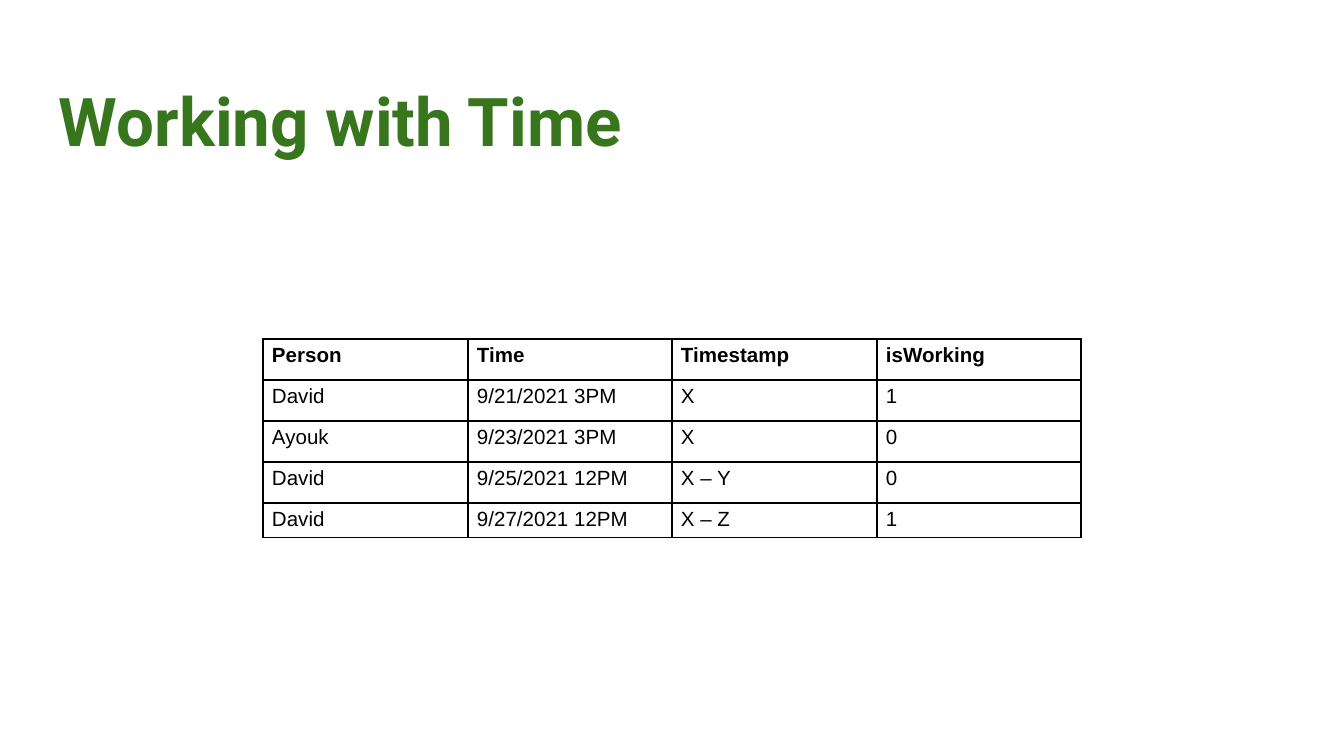
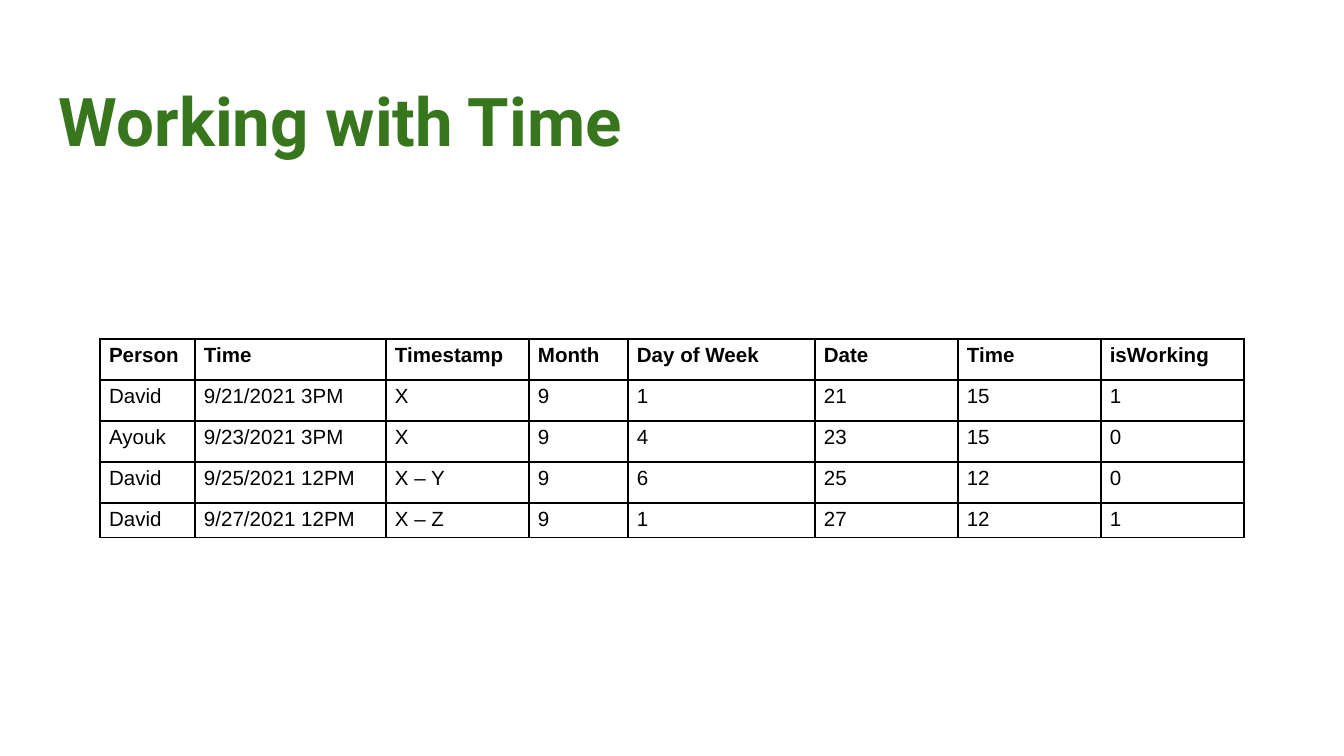
from lxml import etree
from pptx import Presentation
from pptx.dml.color import RGBColor
from pptx.enum.text import MSO_ANCHOR
from pptx.oxml.ns import qn
from pptx.util import Emu, Pt

TOP = MSO_ANCHOR.TOP
GREEN = RGBColor(0x38, 0x76, 0x1D)
BLACK = RGBColor(0x00, 0x00, 0x00)
WHITE = RGBColor(0xFF, 0xFF, 0xFF)
TITLE_FONT, TABLE_FONT = "Roboto", "Arial"

# Content
TITLE = "Working with Time"
SHIFTS = [
    ("Person", "Time", "Timestamp", "isWorking"),
    ("David", "9/21/2021 3PM", "X", "1"),
    ("Ayouk", "9/23/2021 3PM", "X", "0"),
    ("David", "9/25/2021 12PM", "X – Y", "0"),
    ("David", "9/27/2021 12PM", "X – Z", "1"),
]
TIME_PARTS = [
    ("Month", "Day of Week", "Date", "Time"),
    ("9", "1", "21", "15"),
    ("9", "4", "23", "15"),
    ("9", "6", "25", "12"),
    ("9", "1", "27", "12"),
]
# The time parts go in just before the last column
EXPANDED_SHIFTS = [shift[:-1] + parts + shift[-1:]
                   for shift, parts in zip(SHIFTS, TIME_PARTS)]
SLIDES = [
    (SHIFTS, (205, 204, 205, 204)),
    (EXPANDED_SHIFTS, (95, 191, 143, 99, 187, 143, 143, 143)),
]

# Layout in px
SLIDE_W, SLIDE_H = 1344, 756
TITLE_BOX = (46, 66, 1252, 85)
TITLE_INSET = 13
TABLE_TOP = 339
ROW_HEIGHTS = (41, 41, 41, 41, 33)
CELL_INSET_X, CELL_INSET_Y = 9, 5
BORDER = Pt(1)


def px(length):
    return Emu(round(length * 914400 / 134.4))


def add_run(paragraph, text, font_name, size, color, bold):
    run = paragraph.add_run()
    run.text = text
    run.font.name = font_name
    run.font.size = Pt(size)
    run.font.color.rgb = color
    run.font.bold = bold


def add_title(slide):
    frame = slide.shapes.add_textbox(*map(px, TITLE_BOX)).text_frame
    frame.word_wrap = True
    frame.vertical_anchor = TOP
    frame.margin_left = frame.margin_right = px(TITLE_INSET)
    frame.margin_top = frame.margin_bottom = px(TITLE_INSET)
    add_run(frame.paragraphs[0], TITLE, TITLE_FONT, 36, GREEN, True)


def add_borders(cell):
    properties = cell._tc.get_or_add_tcPr()
    # Border lines come before the fill in the cell properties
    for index, side in enumerate(("a:lnL", "a:lnR", "a:lnT", "a:lnB")):
        line = etree.Element(qn(side), w=str(BORDER))
        fill = etree.SubElement(line, qn("a:solidFill"))
        etree.SubElement(fill, qn("a:srgbClr"), val=str(BLACK))
        properties.insert(index, line)


def add_cell(cell, text, is_header):
    cell.fill.background()
    cell.margin_left = cell.margin_right = px(CELL_INSET_X)
    cell.margin_top = cell.margin_bottom = px(CELL_INSET_Y)
    cell.vertical_anchor = TOP
    add_run(cell.text_frame.paragraphs[0], text, TABLE_FONT, 11, BLACK, is_header)
    add_borders(cell)


def add_shift_table(slide, records, widths):
    # Each table is centred across the slide
    total = sum(widths)
    table = slide.shapes.add_table(
        len(records), len(widths), px((SLIDE_W - total) / 2), px(TABLE_TOP),
        px(total), px(sum(ROW_HEIGHTS))).table
    table.horz_banding = False
    for column, width in zip(table.columns, widths):
        column.width = px(width)
    for row, height in zip(table.rows, ROW_HEIGHTS):
        row.height = px(height)
    for r, record in enumerate(records):
        for c, text in enumerate(record):
            add_cell(table.cell(r, c), text, r == 0)


def main():
    deck = Presentation()
    deck.slide_width, deck.slide_height = px(SLIDE_W), px(SLIDE_H)
    blank = deck.slide_layouts[6]
    for records, widths in SLIDES:
        slide = deck.slides.add_slide(blank)
        slide.background.fill.solid()
        slide.background.fill.fore_color.rgb = WHITE
        add_title(slide)
        add_shift_table(slide, records, widths)
    deck.save("out.pptx")


if __name__ == "__main__":
    main()
